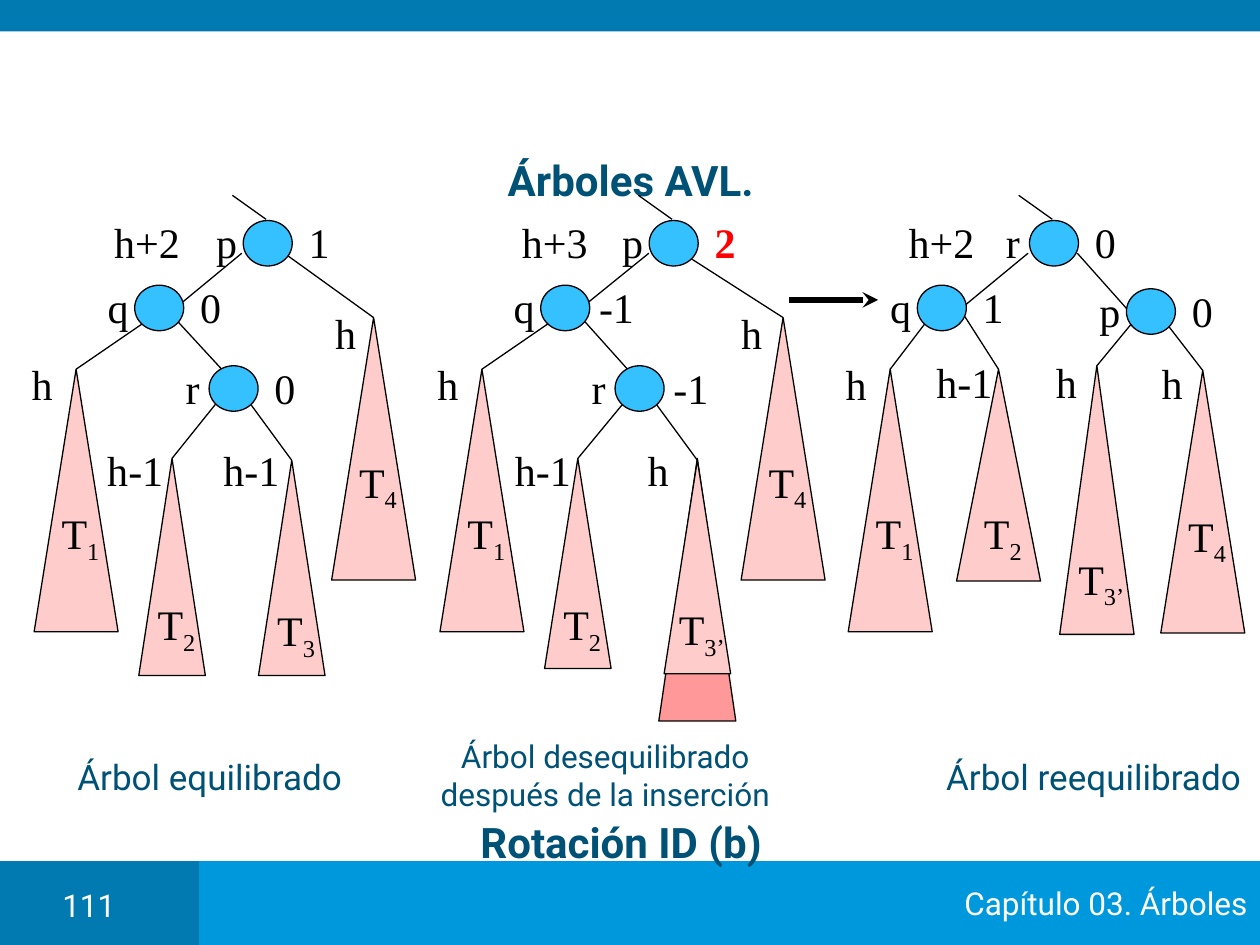
from typing import NamedTuple

from lxml.etree import SubElement
from pptx import Presentation
from pptx.dml.color import RGBColor
from pptx.enum.shapes import MSO_CONNECTOR, MSO_SHAPE
from pptx.enum.text import MSO_ANCHOR, PP_ALIGN
from pptx.oxml.ns import qn
from pptx.util import Pt

BLACK = RGBColor(0x00, 0x00, 0x00)
WHITE = RGBColor(0xFF, 0xFF, 0xFF)
RED = RGBColor(0xFF, 0x00, 0x00)
NAVY = RGBColor(0x00, 0x51, 0x76)
DARK_BLUE = RGBColor(0x00, 0x7A, 0xB1)
BLUE = RGBColor(0x00, 0x98, 0xDC)
NODE_BLUE = RGBColor(0x35, 0xC0, 0xFF)
PINK = RGBColor(0xFF, 0xCC, 0xCC)
DARK_PINK = RGBColor(0xFF, 0x99, 0x99)

SANS, SERIF = "Roboto", "Times New Roman"
NODE_W, NODE_H = 28, 26
LABEL_H = 36


class Node(NamedTuple):
    name: str
    x: float  # centre
    y: float
    balance: str
    color: RGBColor = BLACK


class Subtree(NamedTuple):
    index: str
    x: float  # apex
    y: float
    width: float
    height: float
    name_y: float
    depth: str
    depth_dx: float  # depth label, from the apex
    depth_dy: float


class Edge(NamedTuple):
    x1: float
    y1: float
    x2: float
    y2: float


class Caption(NamedTuple):
    text: str
    left: float
    top: float
    width: float
    height: float
    size: float = 20
    bold: bool = False
    color: RGBColor = NAVY


class Tree(NamedTuple):
    depth: str
    depth_x: float
    nodes: list[Node]  # root first
    subtrees: list[Subtree]
    edges: list[Edge]
    caption: Caption


TREES = [
    Tree("h+2", 84,
         [Node("p", 153, 139, "1"), Node("q", 91, 176, "0"), Node("r", 133.5, 222, "0")],
         [Subtree("1", 43.5, 211, 48, 150, 306.5, "h", -19.5, 8),
          Subtree("2", 98.3, 262, 38, 124, 358.5, "h-1", -21, 6.5),
          Subtree("3", 166.7, 263, 38, 123, 362, "h-1", -23, 5.5),
          Subtree("4", 213.5, 181.5, 48, 150, 277, "h", -16, 8.5)],
         [Edge(160.5, 143.3, 213.5, 181.5), Edge(138.2, 144.7, 101.5, 175),
          Edge(100.8, 182.9, 126.7, 211), Edge(123.1, 231.1, 98.3, 262),
          Edge(143.3, 231.1, 166.7, 263), Edge(81.4, 185, 43.5, 211)],
         Caption("Árbol equilibrado", 36.7, 428.4, 166.3, 31.7)),
    Tree("h+3", 317,
         [Node("p", 385, 139, "2", RED), Node("q", 323, 176, "-1"),
          Node("r", 365.5, 222, "-1")],
         [Subtree("1", 275.4, 211, 48, 150, 306.5, "h", -19.5, 8),
          Subtree("2", 330.2, 262, 38, 120, 358.5, "h-1", -20, 6.5),
          Subtree("3’", 398.5, 263, 38, 122, 361.5, "h", -22.5, 5.5),
          Subtree("4", 447.5, 181.5, 48, 150, 277, "h", -18, 8.5)],
         [Edge(392.4, 146.2, 447.5, 181.5), Edge(370.8, 144.7, 333.4, 175),
          Edge(333.4, 182.9, 358.6, 211), Edge(355.7, 231.1, 330.2, 262),
          Edge(375.1, 231.1, 398.5, 263), Edge(313.2, 185, 275.4, 211)],
         Caption("Árbol desequilibrado después de la inserción",
                 241.9, 417.6, 208, 50.4, 18)),
    Tree("h+2", 538,
         [Node("r", 602.3, 139, "0"), Node("q", 538.2, 176, "1"),
          Node("p", 657.7, 178, "0")],
         [Subtree("1", 508.7, 211, 48, 150, 306.5, "h", -19.5, 8),
          Subtree("2", 570.6, 211, 48, 121, 306.5, "h-1", -19.5, 7),
          Subtree("3’", 626.8, 209, 42.5, 153.5, 332.6, "h", -17.5, 9),
          Subtree("4", 687.3, 211.7, 48, 150, 308, "h", -17.5, 7)],
         [Edge(615.6, 144.7, 645.8, 178.6), Edge(550.8, 180, 570.6, 211),
          Edge(666.7, 185, 687.3, 211.7), Edge(587.5, 144.7, 550.8, 175),
          Edge(646.6, 185, 626.8, 209), Edge(528.5, 185, 508.7, 211)],
         Caption("Árbol reequilibrado", 532.8, 428.4, 184.3, 31.7)),
]

prs = Presentation()
prs.slide_width, prs.slide_height = Pt(720), Pt(540)
slide = prs.slides.add_slide(prs.slide_layouts[6])


def style_run(run, font: str, size: float, color: RGBColor, bold: bool = False) -> None:
    run.font.name = font
    run.font.size = Pt(size)
    run.font.color.rgb = color
    run.font.bold = bold


def draw_shape(kind: MSO_SHAPE, left: float, top: float, width: float, height: float,
               fill: RGBColor, outlined: bool = True):
    shape = slide.shapes.add_shape(kind, Pt(left), Pt(top), Pt(width), Pt(height))
    shape.shadow.inherit = False
    shape.fill.solid()
    shape.fill.fore_color.rgb = fill
    if outlined:
        shape.line.color.rgb = BLACK
        shape.line.width = Pt(0.75)
    else:
        shape.line.fill.background()
    return shape


def draw_line(edge: Edge, width: float = 0.75, arrow: bool = False) -> None:
    line = slide.shapes.add_connector(MSO_CONNECTOR.STRAIGHT, *map(Pt, edge))
    line.line.color.rgb = BLACK
    line.line.width = Pt(width)
    if arrow:
        SubElement(line.line._get_or_add_ln(), qn("a:tailEnd"), type="stealth")
    SubElement(line._element.spPr, qn("a:effectLst"))


def draw_label(text: str, x: float, y: float, width: float, color: RGBColor = BLACK,
               subscript: str = "") -> None:
    """Serif label centred on (x, y)."""
    box = slide.shapes.add_textbox(Pt(x - width / 2), Pt(y - LABEL_H / 2),
                                   Pt(width), Pt(LABEL_H))
    frame = box.text_frame
    frame.text = text
    frame.word_wrap = False
    frame.vertical_anchor = MSO_ANCHOR.MIDDLE
    paragraph = frame.paragraphs[0]
    paragraph.alignment = PP_ALIGN.CENTER
    if subscript:
        paragraph.add_run().text = subscript
        paragraph.runs[1].font._element.set("baseline", "-25000")
    for run in paragraph.runs:
        style_run(run, SERIF, 24, color, bold=color == RED)


def draw_caption(caption: Caption) -> None:
    box = slide.shapes.add_textbox(Pt(caption.left), Pt(caption.top),
                                   Pt(caption.width), Pt(caption.height))
    frame = box.text_frame
    frame.text = caption.text
    frame.word_wrap = caption.size != 20  # tree captions at 20 pt stay on one line
    frame.paragraphs[0].alignment = PP_ALIGN.CENTER
    style_run(frame.paragraphs[0].runs[0], SANS, caption.size, caption.color, caption.bold)


def draw_subtree(subtree: Subtree) -> None:
    draw_shape(MSO_SHAPE.ISOSCELES_TRIANGLE, subtree.x - subtree.width / 2, subtree.y,
               subtree.width, subtree.height, PINK)
    draw_label("T", subtree.x + 2.5, subtree.name_y, 43, subscript=subtree.index)
    draw_label(subtree.depth, subtree.x + subtree.depth_dx, subtree.y + subtree.depth_dy, 54)


def draw_node(node: Node) -> None:
    draw_shape(MSO_SHAPE.OVAL, node.x - NODE_W / 2, node.y - NODE_H / 2,
               NODE_W, NODE_H, NODE_BLUE)
    draw_label(node.name, node.x - 23.5, node.y - 0.7, 27)
    draw_label(node.balance, node.x + 29.3, node.y - 0.7, 27 if len(node.balance) == 1 else 35,
               node.color)


def draw_tree(tree: Tree) -> None:
    root = tree.nodes[0]
    for edge in tree.edges:
        draw_line(edge)
    draw_line(Edge(root.x - 1, root.y - 13.7, root.x - 20.2, root.y - 27.4))
    for subtree in tree.subtrees:
        draw_subtree(subtree)
    for node in tree.nodes:
        draw_node(node)
    draw_label(tree.depth, tree.depth_x, root.y - 0.7, 61)
    draw_caption(tree.caption)


# Top band and footer
draw_shape(MSO_SHAPE.RECTANGLE, 0, 0, 720, 18, DARK_BLUE, outlined=False)
draw_shape(MSO_SHAPE.RECTANGLE, 0, 492, 131.8, 48, DARK_BLUE, outlined=False)
footer = draw_shape(MSO_SHAPE.RECTANGLE, 113.8, 492, 606.2, 48, BLUE, outlined=False)
footer.text_frame.text = "Capítulo 03. Árboles"
footer.text_frame.word_wrap = False
footer.text_frame.vertical_anchor = MSO_ANCHOR.MIDDLE
footer.text_frame.paragraphs[0].alignment = PP_ALIGN.RIGHT
style_run(footer.text_frame.paragraphs[0].runs[0], SANS, 18, WHITE)
# The left block of the footer lies in front of the long bar
draw_caption(Caption("111", 25.2, 502.6, 51.1, 23, 18, color=WHITE))

# Title
draw_caption(Caption("Árboles AVL.", 59.8, 84.5, 601.2, 34, 24, bold=True))

# Part added by the insertion, behind T3’ of the unbalanced tree
draw_shape(MSO_SHAPE.ISOSCELES_TRIANGLE, 376.5, 262, 44, 150, DARK_PINK)

# Trees and the rotation arrow
for avl_tree in TREES:
    draw_tree(avl_tree)
draw_line(Edge(450.7, 171.4, 501.8, 171.4), width=3, arrow=True)

# Name of the rotation
draw_caption(Caption("Rotación ID (b)", 227.5, 463, 254.9, 36.7, 24, bold=True))

prs.save("out.pptx")
